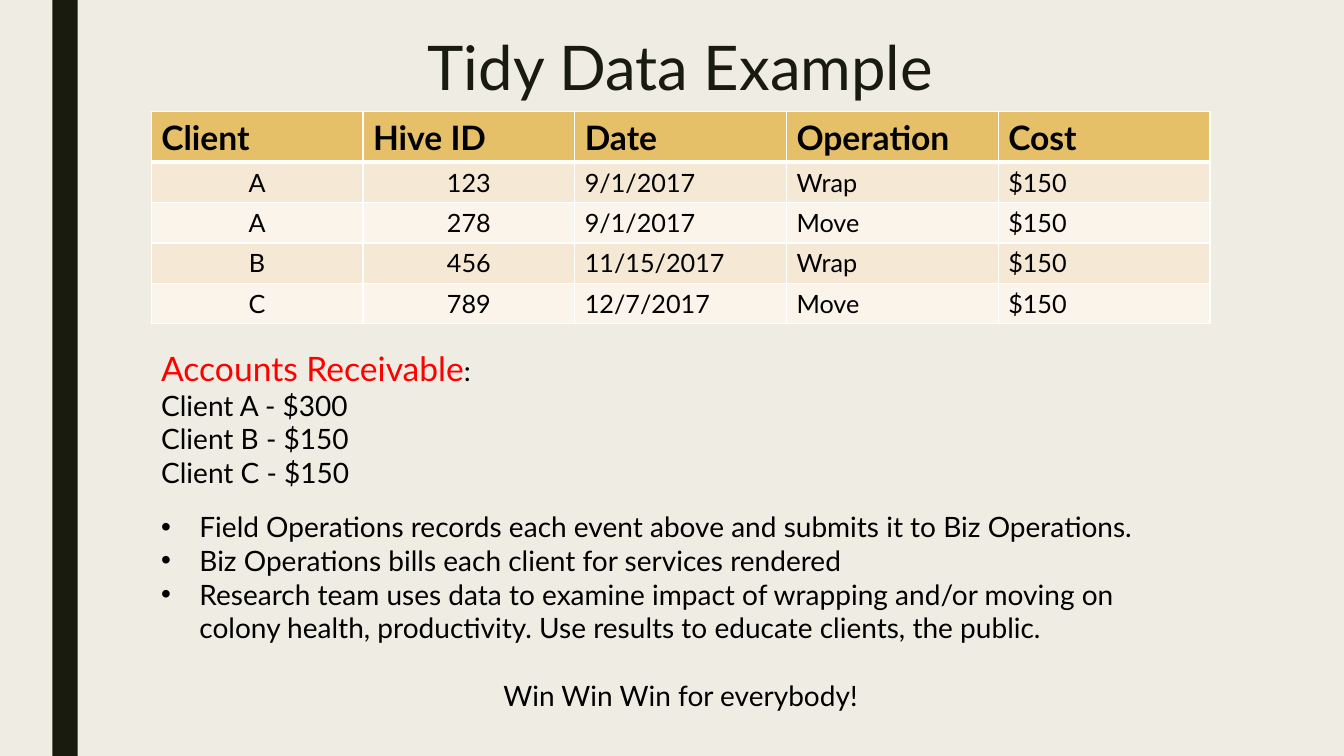
"""Build the Tidy Data Example slide with its table, receivables and workflow notes."""
import lxml.etree
import pptx
import pptx.dml.color
import pptx.enum.shapes
import pptx.enum.text
import pptx.oxml
import pptx.oxml.ns
import pptx.util

COLORS = {
    "background": "EFEDE3", "ink": "191B0E", "text": "000000", "accent": "FF0000",
    "header": "E6C069", "odd": "F5E8D4", "even": "FAF4EB", "border": "FFFFFF",
}
Inches, Pt = pptx.util.Inches, pptx.util.Pt
Align = pptx.enum.text.PP_ALIGN
qn = pptx.oxml.ns.qn


def color(name):
    return pptx.dml.color.RGBColor.from_string(COLORS[name])


def style(font, size, name="text", bold=False):
    font.name, font.size, font.bold = "Lato", Pt(size), bold
    font.color.rgb = color(name)


deck = pptx.Presentation()
deck.slide_width, deck.slide_height = Inches(13.33), Inches(7.5)
slide = deck.slides.add_slide(deck.slide_layouts[5])
slide.background.fill.solid()
slide.background.fill.fore_color.rgb = color("background")
left, width = Inches(1.5), Inches(10.5)

stripe = slide.shapes.add_shape(
    pptx.enum.shapes.MSO_SHAPE.RECTANGLE, Inches(0.52), 0, Inches(0.25), deck.slide_height)
stripe.shadow.inherit = False
stripe.fill.solid()
stripe.fill.fore_color.rgb = color("ink")
stripe.line.fill.background()

title = slide.shapes.title
title.left, title.top, title.width, title.height = left, Inches(0.3), width, Inches(0.81)
title.text_frame.text = "Tidy Data Example"
title.text_frame.vertical_anchor = pptx.enum.text.MSO_ANCHOR.MIDDLE
heading = title.text_frame.paragraphs[0]
heading.alignment, heading.line_spacing = Align.CENTER, 0.89
style(heading.font, 44, "ink")

events = [
    ("Client", "Hive ID", "Date", "Operation", "Cost"),
    ("A", "123", "9/1/2017", "Wrap", "$150"),
    ("A", "278", "9/1/2017", "Move", "$150"),
    ("B", "456", "11/15/2017", "Wrap", "$150"),
    ("C", "789", "12/7/2017", "Move", "$150"),
]
table = slide.shapes.add_table(
    len(events), len(events[0]), left, Inches(1.11), width, Inches(2.12)).table
for row, event in enumerate(events):
    is_header = row == 0
    table.rows[row].height = Inches(0.5 if is_header else 0.4)
    band = "header" if is_header else "odd" if row % 2 else "even"
    for column, value in enumerate(event):
        cell = table.cell(row, column)
        cell.text = value
        entry = cell.text_frame.paragraphs[0]
        entry.alignment = Align.CENTER if row and column < 2 else Align.LEFT
        style(entry.font, 24 if is_header else 18, bold=is_header)
        properties = cell._tc.get_or_add_tcPr()
        for side in ("lnL", "lnR", "lnT", "lnB"):
            thick = (row, side) in ((0, "lnB"), (1, "lnT"))
            border = lxml.etree.SubElement(
                properties, qn(f"a:{side}"), w=str(Pt(3 if thick else 1)))
            paint = lxml.etree.SubElement(border, qn("a:solidFill"))
            lxml.etree.SubElement(paint, qn("a:srgbClr"), val=COLORS["border"])
        cell.fill.solid()
        cell.fill.fore_color.rgb = color(band)

workflow = slide.shapes.add_textbox(left, Inches(5.01), width, Inches(2.12)).text_frame
workflow.word_wrap = True
steps = [
    "Field Operations records each event above and submits it to Biz Operations.",
    "Biz Operations bills each client for services rendered",
    "Research team uses data to examine impact of wrapping and/or moving on colony health, "
    "productivity. Use results to educate clients, the public.",
]
closing = "Win Win Win for everybody!"
workflow.text = "\n".join(steps + [closing])
for step in workflow.paragraphs[:-1]:
    indent = step._p.get_or_add_pPr()
    indent.set("marL", str(Inches(0.38)))
    indent.set("indent", str(-Inches(0.38)))
    lxml.etree.SubElement(indent, qn("a:buFont"), typeface="Arial")
    lxml.etree.SubElement(indent, qn("a:buChar"), char="•")
for line in workflow.paragraphs:
    style(line.font, 20)
workflow.paragraphs[-1].alignment = Align.CENTER
workflow.paragraphs[-1].space_before = Pt(24)

receivable = slide.shapes.add_textbox(left, Inches(3.4), Inches(4.69), Inches(1.51)).text_frame
receivable.word_wrap = True
label = receivable.paragraphs[0]
for text, size, name in (("Accounts Receivable", 24, "accent"), (":", 20, "text")):
    part = label.add_run()
    part.text = text
    style(part.font, size, name)
for client, amount in (("A", 300), ("B", 150), ("C", 150)):
    balance = receivable.add_paragraph()
    balance.text = f"Client {client} - ${amount}"
    style(balance.font, 20)

deck.save("out.pptx")
